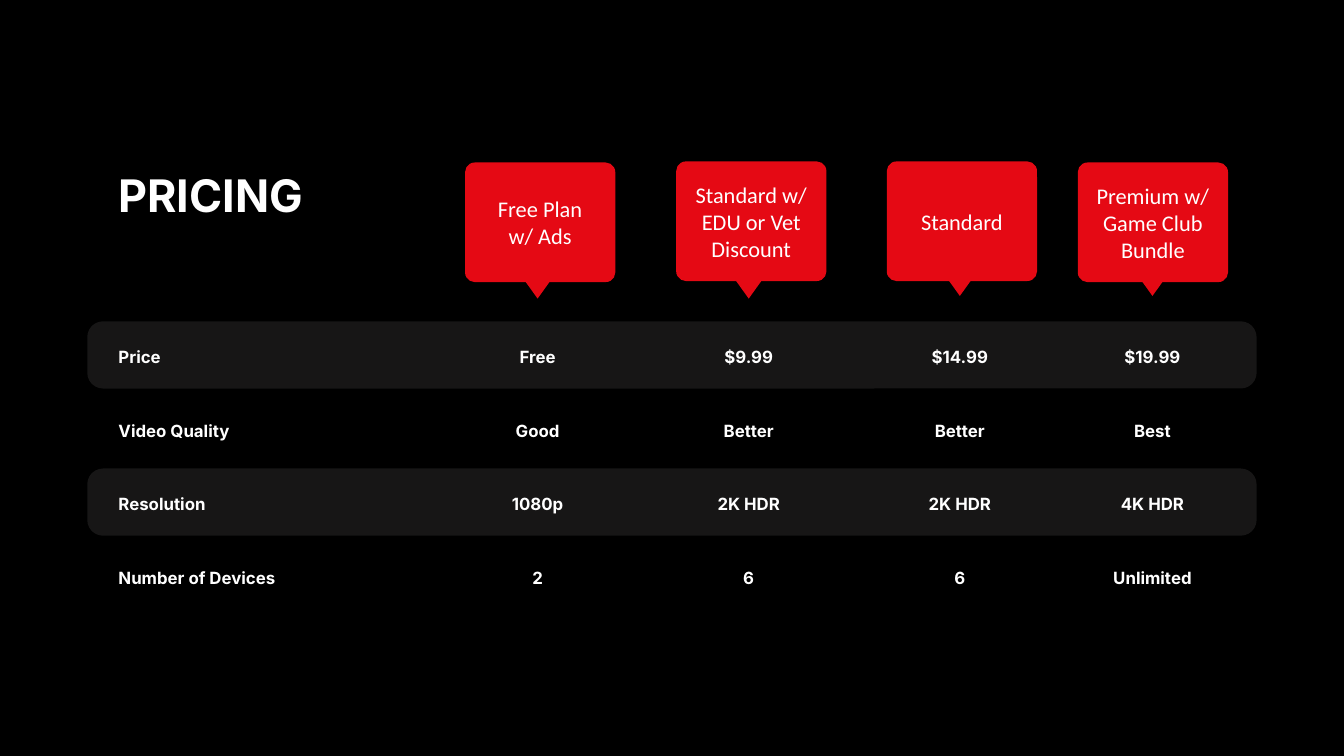
from dataclasses import dataclass

from lxml.etree import SubElement
from pptx import Presentation
from pptx.dml.color import RGBColor
from pptx.enum.shapes import MSO_SHAPE
from pptx.enum.text import MSO_ANCHOR, MSO_AUTO_SIZE, PP_ALIGN
from pptx.oxml.ns import qn
from pptx.util import Cm, Pt

RED, GREY, WHITE, BLACK = "E50914", "3A3838", "FFFFFF", "000000"
LEFT = 2.06
ROW_TOP, ROW_STEP, ROW_H = 6.45, 1.39, 0.58
CARD_W, CARD_H = 2.84, 2.26
TIP_W, TIP_H = 0.66, 0.46


@dataclass
class Cell:
    text: str
    width: float


@dataclass
class Plan:
    name: str
    mid: float      # centre of the values and the pointer
    left: float     # left edge of the card
    top: float
    tip: float      # top of the pointer
    cells: list[Cell]


LABELS = [Cell("Price", 1.19), Cell("Video Quality", 2.49),
          Cell("Resolution", 2.06), Cell("Number of Devices", 3.35)]
PLANS = [
    Plan("Free Plan\vw/ Ads", 10.16, 8.79, 3.07, 5.18,
         [Cell("Free", 1.14), Cell("Good", 1.22),
          Cell("1080p", 1.4), Cell("2", 0.94)]),
    Plan("Standard w/ EDU or Vet Discount", 14.15, 12.78, 3.05, 5.18,
         [Cell("$9.99", 1.55), Cell("Better", 1.35),
          Cell("2K HDR", 1.65), Cell("6", 0.84)]),
    Plan("Standard", 18.14, 16.76, 3.05, 5.13,
         [Cell("$14.99", 1.65), Cell("Better", 1.35),
          Cell("2K HDR", 1.65), Cell("6", 0.84)]),
    Plan("Premium w/ Game Club Bundle", 21.78, 20.37, 3.07, 5.13,
         [Cell("$19.99", 1.55), Cell("Best", 1.14),
          Cell("4K HDR", 1.65), Cell("Unlimited", 1.9)]),
]


def paint(fill, color: str) -> None:
    fill.solid()
    fill.fore_color.rgb = RGBColor.from_string(color)


def write(shape, text: str, *, size: float = 9, font: str = "Inter",
          bold: bool = True, align=PP_ALIGN.LEFT,
          anchor=MSO_ANCHOR.TOP, wrap: bool = False) -> None:
    frame = shape.text_frame
    frame.word_wrap = wrap
    frame.auto_size = MSO_AUTO_SIZE.NONE
    frame.vertical_anchor = anchor
    frame.margin_left = frame.margin_right = Cm(0.18)
    frame.margin_top = frame.margin_bottom = Cm(0.1)
    line = frame.paragraphs[0]
    line.text = text
    line.alignment = align
    for run in line.runs:
        run.font.name, run.font.size, run.font.bold = font, Pt(size), bold
        run.font.color.rgb = RGBColor.from_string(WHITE)


def block(slide, kind, x: float, y: float, w: float, h: float,
          color: str, adj: float):
    """Add a flat filled shape without an outline."""
    shape = slide.shapes.add_shape(kind, Cm(x), Cm(y), Cm(w), Cm(h))
    shape.adjustments[0] = adj
    shape.shadow.inherit = False
    shape.line.fill.background()
    paint(shape.fill, color)
    return shape


def band(slide, row: int) -> None:
    """Add the see-through stripe behind a row."""
    top = ROW_TOP - 0.38 + row * ROW_STEP
    shape = block(slide, MSO_SHAPE.ROUNDED_RECTANGLE,
                  1.65, top, 22.1, 1.27, GREY, 0.235)
    tint = shape.fill._xPr.find(f".//{qn('a:srgbClr')}")
    SubElement(tint, qn("a:alpha")).set("val", "40000")


def entry(slide, cell: Cell, x: float, row: int, align) -> None:
    box = slide.shapes.add_textbox(Cm(x), Cm(ROW_TOP + row * ROW_STEP),
                                   Cm(cell.width), Cm(ROW_H))
    write(box, cell.text, align=align)


def column(slide, plan: Plan) -> None:
    card = block(slide, MSO_SHAPE.ROUNDED_RECTANGLE, plan.left, plan.top,
                 CARD_W, CARD_H, RED, 0.081)
    write(card, plan.name, size=12, font="Calibri", bold=False,
          align=PP_ALIGN.CENTER, anchor=MSO_ANCHOR.MIDDLE, wrap=True)
    tip = block(slide, MSO_SHAPE.ISOSCELES_TRIANGLE, plan.mid - TIP_W / 2,
                plan.tip, TIP_W, TIP_H, RED, 0.5)
    tip.rotation = 180
    for row, cell in enumerate(plan.cells):
        entry(slide, cell, plan.mid - cell.width / 2, row, PP_ALIGN.CENTER)


def main() -> None:
    deck = Presentation()
    deck.slide_width, deck.slide_height = Cm(25.4), Cm(14.28)
    slide = deck.slides.add_slide(deck.slide_layouts[5])
    paint(slide.background.fill, BLACK)

    title = slide.shapes.title
    title.left, title.top = Cm(LEFT), Cm(3.07)
    title.width, title.height = Cm(3.96), Cm(1.22)
    write(title, "PRICING", size=24)

    for row in (0, 2):
        band(slide, row)
    for row, label in enumerate(LABELS):
        entry(slide, label, LEFT, row, PP_ALIGN.LEFT)
    for plan in PLANS:
        column(slide, plan)
    deck.save("out.pptx")


if __name__ == "__main__":
    main()
